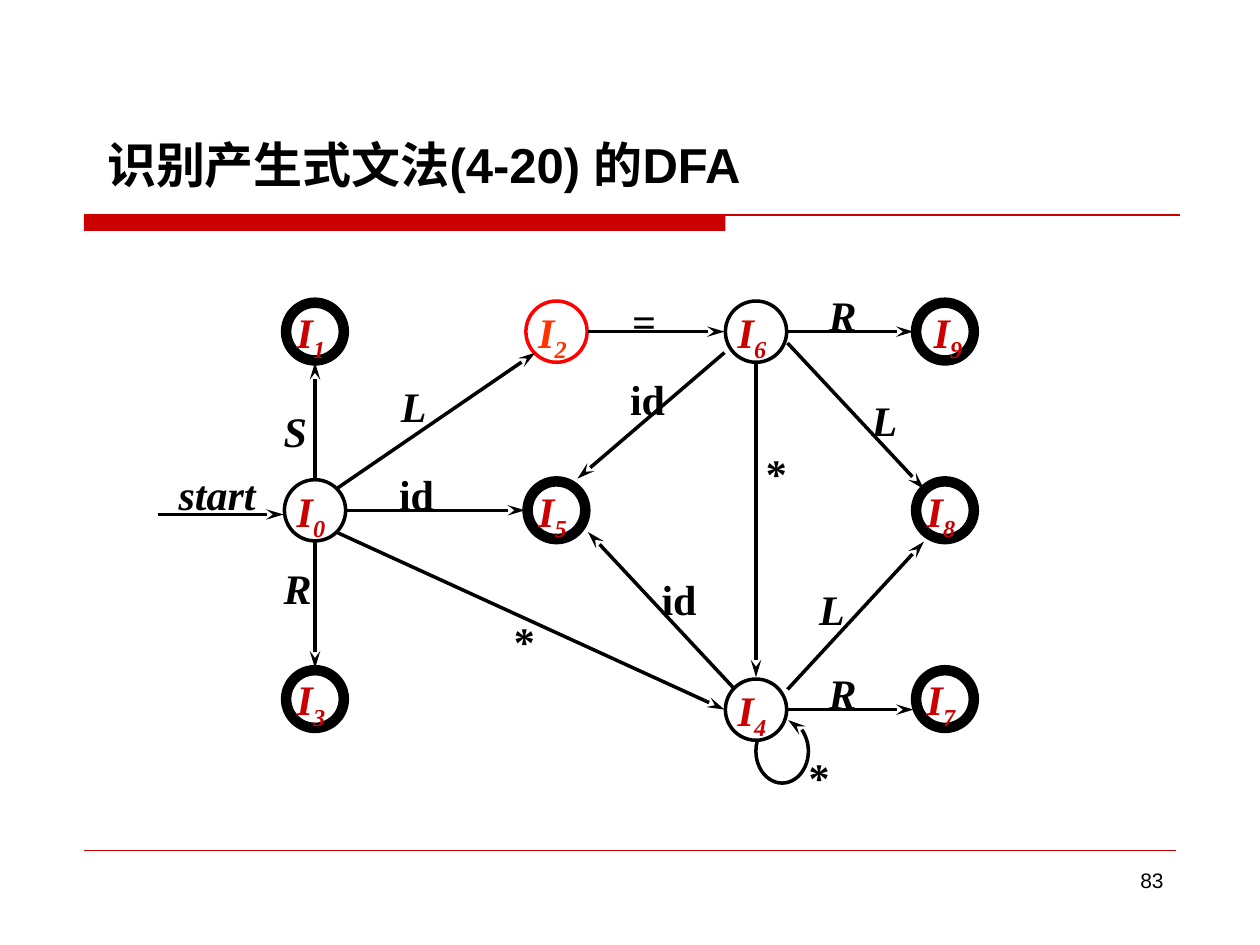
from dataclasses import dataclass

from lxml.etree import SubElement
from pptx import Presentation
from pptx.dml.color import RGBColor
from pptx.enum.shapes import MSO_CONNECTOR, MSO_SHAPE
from pptx.enum.text import MSO_ANCHOR, PP_ALIGN
from pptx.oxml.ns import qn
from pptx.util import Pt


@dataclass(frozen=True)
class Theme:
    """Colours, fonts and type sizes of the slide."""
    ink: str = "000000"
    red: str = "CC0000"
    hot: str = "FF0000"
    warm: str = "FF3300"
    sans: str = "Arial"
    serif: str = "Times New Roman"
    head: int = 28
    body: int = 24
    note: int = 12


THEME = Theme()
COLS = (180, 318, 432, 540)
ROWS = (189.5, 291.6, 399.5, 405.5)

# number, column, row, kind, label shift
STATES = (
    (1, 0, 0, "final", 0), (0, 0, 1, "plain", 0), (3, 0, 2, "final", 0),
    (2, 1, 0, "hot", 0), (6, 2, 0, "plain", 0), (9, 3, 0, "final", 4),
    (8, 3, 1, "final", 0), (7, 3, 2, "final", 0), (5, 1, 1, "final", 0),
    (4, 2, 3, "plain", 0),
)
# diameter, line width, line colour, label colour
KINDS = {
    "plain": (35, 2, THEME.ink, THEME.red),
    "final": (33, 6, THEME.ink, THEME.red),
    "hot": (35, 2, THEME.hot, THEME.warm),
}
# start, end, label, label corner
EDGES = (
    ((90, 294), (162, 294), "start", (95, 264)),
    ((180, 274), (180, 207), "S", (155, 228)),
    ((180, 310), (180, 382), "R", (155, 318)),
    ((198, 291.6), (300, 291.6), "id", (221, 264)),
    ((192, 279.5), (306, 201.5), "L", (222, 214)),
    ((192, 304), (414, 405.5), "*", (286.5, 348)),
    ((420, 394), (336, 304), "id", (371, 324)),
    ((414, 201.5), (330, 273.5), "id", (353, 210)),
    ((336, 189.5), (414, 189.5), "=", (354, 165.5)),
    ((450, 189.5), (522, 189.5), "R", (466.5, 162)),
    ((450, 196), (528, 279.5), "L", (491, 222)),
    ((450, 405.5), (522, 405.5), "R", (466.5, 378)),
    ((450, 394), (528, 309.5), "L", (461, 330)),
    ((432, 207), (432, 387), "*", (430.5, 252)),
)
WIDTHS = {"start": 64, "S": 28, "R": 30, "L": 29.5, "id": 36, "*": 26.5, "=": 28}


def write(para, text, *, size=THEME.body, face=THEME.serif, tint=THEME.ink,
          bold=True, slant=False, base=0):
    """Add a formatted run to a paragraph."""
    run = para.add_run()
    run.text = text
    font = run.font
    font.size, font.name = Pt(size), face
    font.bold, font.italic = bold, slant
    font.color.rgb = RGBColor.from_string(tint)
    if base:
        run._r.get_or_add_rPr().set("baseline", str(base * 1000))


def add_box(shapes, left, top, width, height, wrap=False):
    """Add a text box and return its first paragraph."""
    frame = shapes.add_textbox(Pt(left), Pt(top), Pt(width), Pt(height)).text_frame
    frame.word_wrap = wrap
    return frame.paragraphs[0]


def stroke(shape, tint, width):
    """Set the line colour and width of a shape."""
    shape.line.color.rgb = RGBColor.from_string(tint)
    shape.line.width = Pt(width)


def add_line(shapes, start, end, tint=THEME.ink, width=2):
    """Add a straight line without a shadow."""
    line = shapes.add_connector(MSO_CONNECTOR.STRAIGHT, *map(Pt, start + end))
    stroke(line, tint, width)
    SubElement(line._element.spPr, qn("a:effectLst"))
    return line


def add_head(shape, end):
    """Put a long stealth arrowhead on one end of a line."""
    SubElement(shape.line._get_or_add_ln(), qn(f"a:{end}"), type="stealth", len="lg")


def add_shape(shapes, kind, left, top, width, height):
    """Add a preset shape without fill or shadow."""
    shape = shapes.add_shape(kind, Pt(left), Pt(top), Pt(width), Pt(height))
    shape.shadow.inherit = False
    shape.fill.background()
    return shape


def add_state(shapes, num, col, row, kind, shift):
    """Draw one state circle with its subscripted name."""
    size, width, edge, tint = KINDS[kind]
    mid, level = COLS[col], ROWS[row]
    ring = add_shape(shapes, MSO_SHAPE.OVAL, mid - size / 2, level - size / 2, size, size)
    stroke(ring, edge, width)
    para = add_box(shapes, mid - 17.5 + shift, level - 18, 31, 40)
    write(para, "I", tint=tint, slant=True)
    write(para, str(num), tint=tint, slant=True, base=-25)


def add_label(shapes, text, left, top):
    """Write the symbol of one transition."""
    para = add_box(shapes, left, top, WIDTHS[text], 36)
    write(para, text, slant=text not in ("id", "*"))


def add_loop(shapes):
    """Draw the transition from the lower state to itself."""
    arc = add_shape(shapes, MSO_SHAPE.ARC, 432, 411, 30, 36.5)
    arc.adjustments[0], arc.adjustments[1] = 281 * 0.6, 202 * 0.6
    stroke(arc, THEME.ink, 2)
    add_head(arc, "headEnd")
    add_label(shapes, "*", 455, 426)


def add_frame(slide):
    """Set the title, the red rules and the page number."""
    title = slide.shapes.title
    title.left, title.top, title.width, title.height = map(Pt, (54, 24, 612, 90))
    title.text_frame.vertical_anchor = MSO_ANCHOR.BOTTOM
    para = title.text_frame.paragraphs[0]
    para.alignment = PP_ALIGN.LEFT
    write(para, "识别产生式文法(4-20) 的DFA", size=THEME.head, face=THEME.sans)
    bar = add_shape(slide.shapes, MSO_SHAPE.RECTANGLE, 48, 123, 366.5, 9)
    bar.fill.solid()
    bar.fill.fore_color.rgb = RGBColor.from_string(THEME.red)
    bar.line.fill.background()
    add_line(slide.shapes, (48, 123), (674.5, 123), THEME.red, 1)
    add_line(slide.shapes, (48, 486), (672, 486), THEME.red, 0.25)
    para = add_box(slide.shapes, 516, 492, 156, 37.5, wrap=True)
    para.alignment = PP_ALIGN.RIGHT
    write(para, "83", size=THEME.note, face=THEME.sans, bold=False)


def main():
    """Build and save the slide."""
    deck = Presentation()
    deck.slide_width, deck.slide_height = Pt(720), Pt(540)
    slide = deck.slides.add_slide(deck.slide_layouts[5])
    add_frame(slide)
    graph = slide.shapes.add_group_shape().shapes
    for state in STATES:
        add_state(graph, *state)
    for start, end, text, corner in EDGES:
        add_head(add_line(graph, start, end), "tailEnd")
        add_label(graph, text, *corner)
    add_loop(graph)
    deck.save("out.pptx")


if __name__ == "__main__":
    main()
